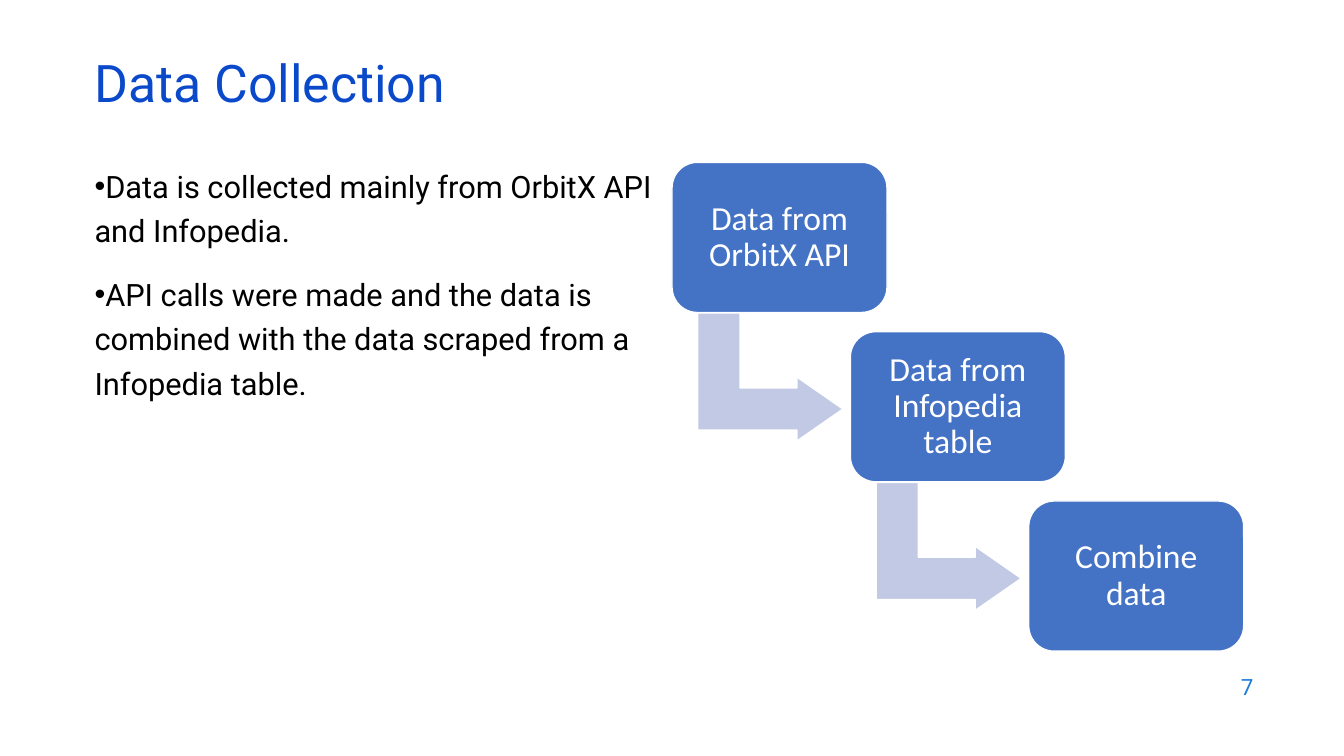
from typing import NamedTuple

from lxml.etree import SubElement
from pptx import Presentation
from pptx.dml.color import RGBColor
from pptx.enum.shapes import MSO_SHAPE as Preset
from pptx.enum.text import MSO_ANCHOR as Anchor, PP_ALIGN as Align
from pptx.oxml.ns import qn
from pptx.util import Inches, Pt

SLIDE_WIDTH, SLIDE_HEIGHT = Inches(13.33), Inches(7.5)
COLUMN, ROW = SLIDE_WIDTH / 100, SLIDE_HEIGHT / 100

BOX_FILL, ARROW_FILL, WHITE = "4472C4", "C1C9E4", "FFFFFF"
FIRST_LEFT, FIRST_TOP = 50, 21.47
STEP_COLUMNS, STEP_ROWS = 13.27, 22.4
BOX_WIDTH, BOX_HEIGHT = 16, 19.87


class Area(NamedTuple):
    """A rectangle in grid columns and rows (hundredths of the slide)."""
    left: float
    top: float
    width: float
    height: float

    def lengths(self) -> tuple[int, int, int, int]:
        return (round(self.left * COLUMN), round(self.top * ROW),
                round(self.width * COLUMN), round(self.height * ROW))


class TextBlock(NamedTuple):
    area: Area
    lines: list[str]
    size: float
    color: str
    anchor: Anchor = Anchor.MIDDLE
    align: Align = Align.LEFT
    line_spacing: float = 1.0
    bulleted: bool = False


TEXT_BLOCKS = [
    TextBlock(Area(6.3, 7.87, 86.27, 8), ["Data Collection"], 37, "0B49CB",
              line_spacing=0.7),
    TextBlock(Area(6.3, 20.53, 43.66, 69.6),
              ["Data is collected mainly from OrbitX API and Infopedia.",
               "API calls were made and the data is combined with the data "
               "scraped from a Infopedia table."],
              22, "000000", Anchor.TOP, line_spacing=1.2, bulleted=True),
    TextBlock(Area(71.49, 87.87, 22.5, 5.87), ["7"], 16, "1C7DDB",
              align=Align.RIGHT),
]
STAGES = ["Data from OrbitX API", "Data from Infopedia table", "Combine data"]


def rgb(color: str) -> RGBColor:
    return RGBColor.from_string(color)


def style_font(paragraph, name: str, size: float, color: str) -> None:
    font = paragraph.font
    font.name, font.size = name, Pt(size)
    font.color.rgb = rgb(color)


def add_bullet(paragraph) -> None:
    properties = paragraph._p.get_or_add_pPr()
    properties.set("marL", "0")
    properties.set("indent", "0")
    SubElement(properties, qn("a:buFont"), typeface="Arial")
    SubElement(properties, qn("a:buChar"), char="•")


def add_text_block(slide, block: TextBlock) -> None:
    text_frame = slide.shapes.add_textbox(*block.area.lengths()).text_frame
    text_frame.word_wrap = True
    text_frame.vertical_anchor = block.anchor
    text_frame.text = "\n".join(block.lines)
    for index, paragraph in enumerate(text_frame.paragraphs):
        if block.bulleted:
            add_bullet(paragraph)
        paragraph.alignment = block.align
        paragraph.line_spacing = block.line_spacing
        paragraph.space_before = Pt(14 if index else 0)
        style_font(paragraph, "Roboto", block.size, block.color)


def add_preset(slide, preset: Preset, area: Area, fill: str,
               adjustments: list[float]):
    shape = slide.shapes.add_shape(preset, *area.lengths())
    shape.shadow.inherit = False
    shape.fill.solid()
    shape.fill.fore_color.rgb = rgb(fill)
    shape.line.color.rgb = rgb(WHITE)
    shape.line.width = Pt(1)
    for index, value in enumerate(adjustments):
        shape.adjustments[index] = value
    return shape


def add_stage(slide, index: int, label: str) -> None:
    """Draw one box of the staircase, with an arrow unless it is the last."""
    left = FIRST_LEFT + index * STEP_COLUMNS
    top = FIRST_TOP + index * STEP_ROWS
    if index < len(STAGES) - 1:
        arrow = add_preset(slide, Preset.BENT_UP_ARROW,
                           Area(left + 2.55, top + 18.8, 9.53, 19.2),
                           ARROW_FILL, [0.33, 0.25, 0.36])
        arrow.rotation = 90
    box = add_preset(slide, Preset.ROUNDED_RECTANGLE,
                     Area(left, top, BOX_WIDTH, BOX_HEIGHT), BOX_FILL, [0.17])
    text_frame = box.text_frame
    text_frame.word_wrap = True
    text_frame.vertical_anchor = Anchor.MIDDLE
    text_frame.margin_left = text_frame.margin_right = round(0.8 * COLUMN)
    text_frame.text = label
    paragraph = text_frame.paragraphs[0]
    paragraph.alignment = Align.CENTER
    paragraph.line_spacing = 0.9
    style_font(paragraph, "Calibri", 24, WHITE)


def main() -> None:
    presentation = Presentation()
    presentation.slide_width = SLIDE_WIDTH
    presentation.slide_height = SLIDE_HEIGHT
    slide = presentation.slides.add_slide(presentation.slide_layouts[6])
    for block in TEXT_BLOCKS:
        add_text_block(slide, block)
    for index, label in enumerate(STAGES):
        add_stage(slide, index, label)
    presentation.save("out.pptx")


if __name__ == "__main__":
    main()
